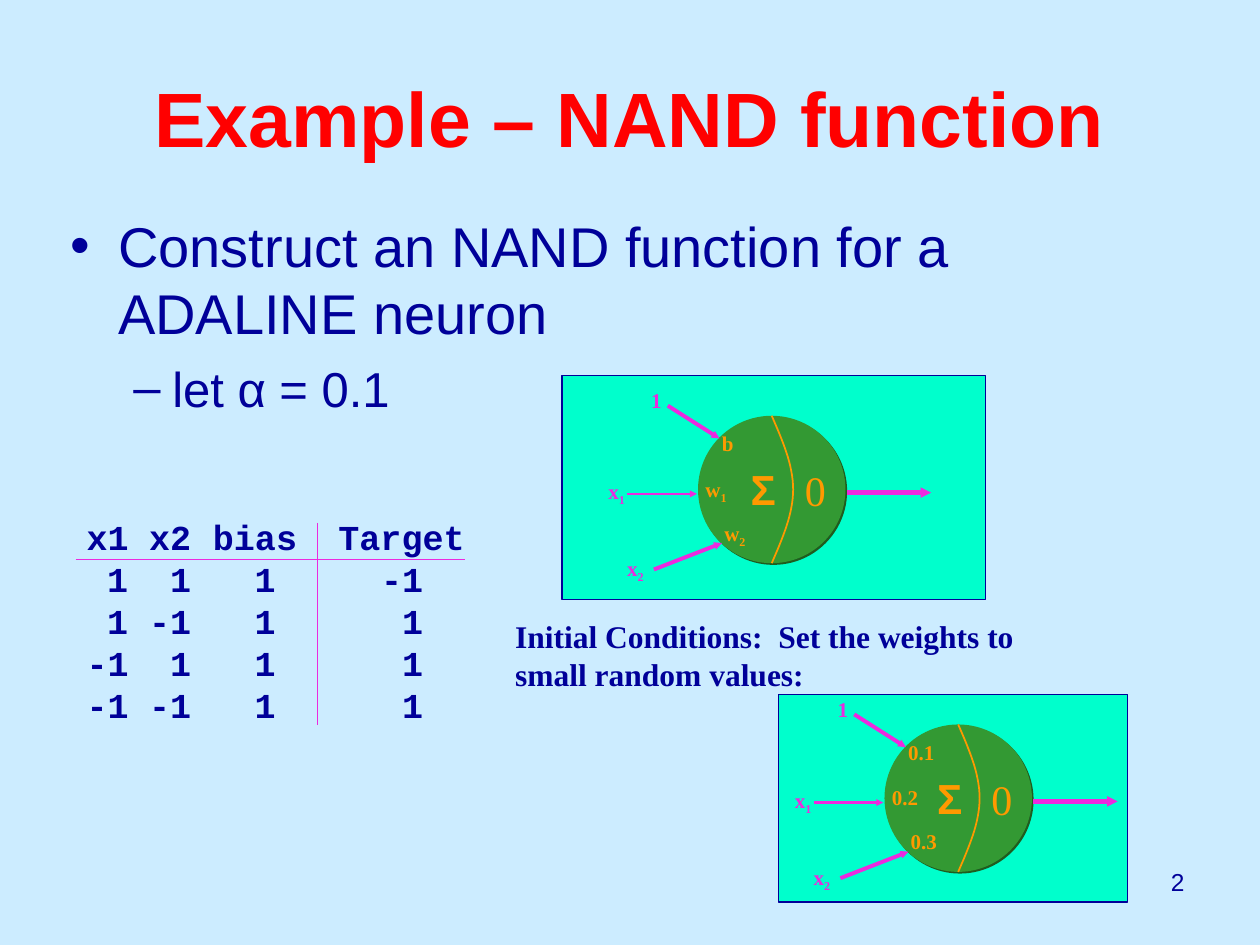
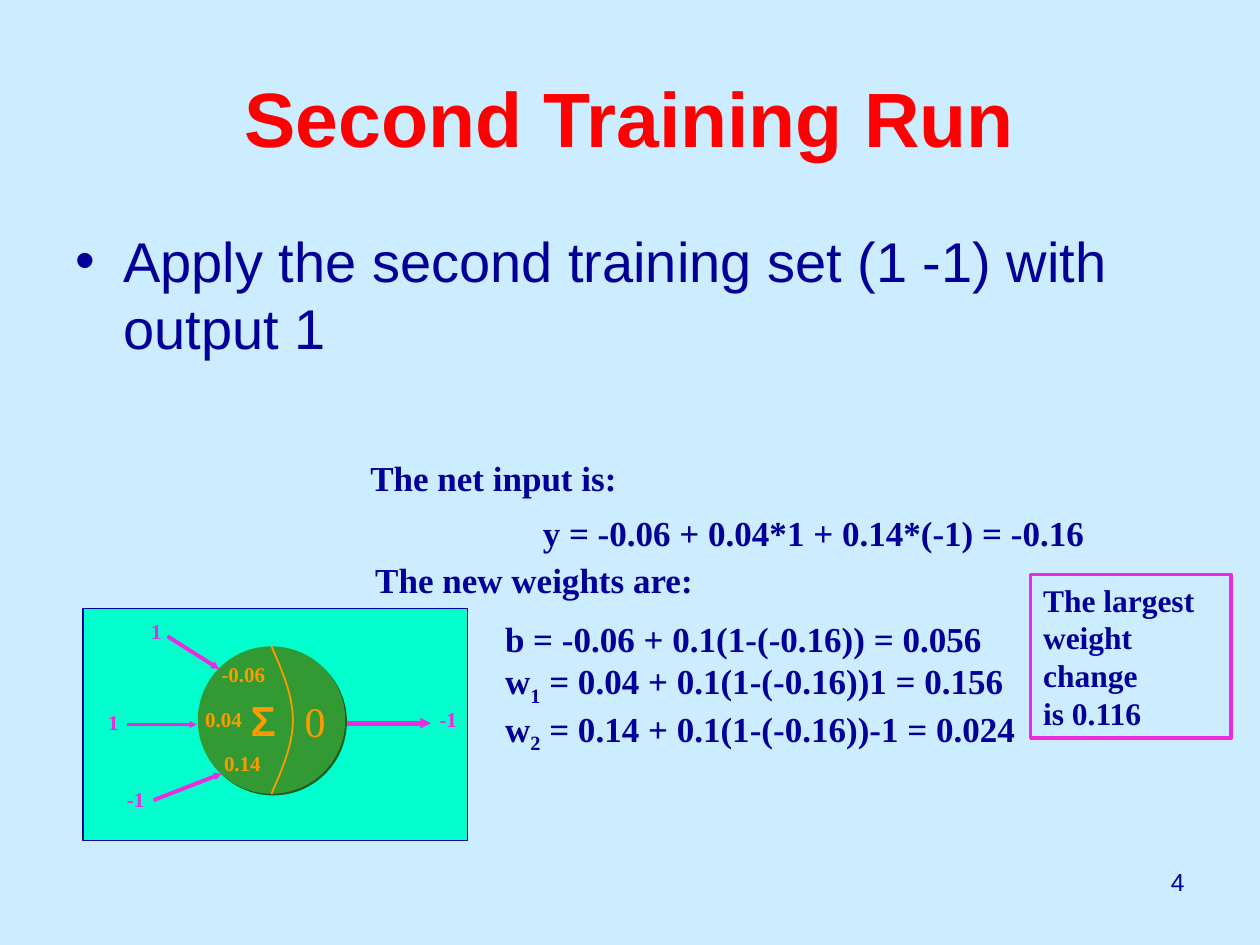
from lxml.etree import SubElement
from pptx import Presentation
from pptx.dml.color import RGBColor
from pptx.enum.shapes import MSO_CONNECTOR, MSO_SHAPE
from pptx.enum.text import MSO_ANCHOR, PP_ALIGN
from pptx.oxml.ns import qn
from pptx.util import Inches, Pt

SKY = RGBColor(0xCC, 0xEC, 0xFF)
NAVY = RGBColor(0x00, 0x00, 0x99)
RED = RGBColor(0xFF, 0x00, 0x00)
MAGENTA = RGBColor(0xEC, 0x2A, 0xDE)
ORANGE = RGBColor(0xFF, 0x99, 0x00)
GREEN = RGBColor(0x33, 0x99, 0x33)
DARK_GREEN = RGBColor(0x1F, 0x5C, 0x1F)
MINT = RGBColor(0x00, 0xFF, 0xCC)
SANS, SERIF, MONO = "Arial", "Times New Roman", "Courier New"

# In every text "_" lowers the character after it.
NAND = {
    "title": "Example – NAND function",
    "number": "2",
    "body": (0.46, 1.63, 9, 4.95),
    "bullets": [("Construct an NAND function for a ADALINE neuron", 0),
                ("let α = 0.1", 1)],
    "neurons": [
        {"panel": (4.46, 2.98, 3.36, 1.78), "at": (5.54, 3.3),
         "inputs": ["1", "x_1", "x_2"], "weights": ["b", "w_1", "w_2"]},
        {"panel": (6.18, 5.51, 2.77, 1.65), "at": (7.02, 5.75),
         "inputs": ["1", "x_1", "x_2"], "weights": ["0.1", "0.2", "0.3"]},
    ],
    "notes": [((3.99, 4.85, 4.61, 0.7), 18,
               ["Initial Conditions:  Set the weights to small random values:"])],
}
SECOND_RUN = {
    "title": "Second Training Run",
    "number": "4",
    "body": (0.5, 1.75, 9, 1.34),
    "bullets": [("Apply the second training set (1 -1) with output 1", 0)],
    "neurons": [
        {"panel": (0.66, 4.83, 3.05, 1.84), "at": (1.57, 5.13),
         "inputs": ["1", "1", "-1"], "weights": ["-0.06", "0.04", "0.14"],
         "output": "-1"},
    ],
    "notes": [
        ((2.84, 3.57, 2.25, 0.44), 20, ["The net input is:"]),
        ((4.21, 4.01, 4.6, 0.44), 20, ["y = -0.06 + 0.04*1 + 0.14*(-1) = -0.16"]),
        ((2.88, 4.38, 2.9, 0.44), 20, ["The new weights are:"]),
        ((3.91, 4.85, 4.35, 1.19), 20, ["b = -0.06 + 0.1(1-(-0.16)) = 0.056",
                                        "w_1 = 0.04 + 0.1(1-(-0.16))1 = 0.156",
                                        "w_2 = 0.14 + 0.1(1-(-0.16))-1 = 0.024"]),
    ],
}
LARGEST_CHANGE = ["The largest weight change", "is 0.116"]
TRUTH_TABLE = [("x1", "x2", "bias", "Target"),
               ("1", "1", "1", "-1"),
               ("1", "-1", "1", "1"),
               ("-1", "1", "1", "1"),
               ("-1", "-1", "1", "1")]
HEADER_TABS = [0.33, 0.83, 1.67, 3]
VALUE_TABS = [0.33, 0.83, 1.5, 2.67]

# Neuron parts, measured from the top left of its circle.
DIAMETER = 1.17
INPUT_SPOTS = [(-0.47, -0.27), (-0.81, 0.45), (-0.66, 1.06)]
WEIGHT_SPOTS = [(0.09, 0.07), (-0.04, 0.43), (0.11, 0.78)]
OUTPUT_SPOT = (1.82, 0.43)
ARROWS = [((1.18, 0.61), (1.85, 0.61), 3),
          ((-0.24, -0.08), (0.17, 0.18), 2.25),
          ((-0.35, 1.22), (0.19, 1.01), 2.25),
          ((-0.56, 0.62), (-0.01, 0.62), 1.5)]
# Label widths by number of characters, with room to stay on one line.
LABEL_WIDTHS = {1: 0.32, 2: 0.37, 3: 0.44, 4: 0.53, 5: 0.62}


def inches(values):
    return [Inches(v) for v in values]


def add_runs(p, text, size, font, color, bold):
    for i, piece in enumerate(text.split("_")):
        parts = [(piece[:1], True), (piece[1:], False)] if i else [(piece, False)]
        for part, lowered in parts:
            if part:
                r = p.add_run()
                r.text = part
                r.font.size, r.font.name, r.font.bold = Pt(size), font, bold
                r.font.color.rgb = color
                if lowered:
                    r.font._element.set("baseline", "-25000")


def fill_text(tf, lines, size, font=SERIF, color=NAVY, bold=True,
              align=PP_ALIGN.LEFT):
    tf.word_wrap = True
    tf.vertical_anchor = MSO_ANCHOR.TOP
    for i, line in enumerate(lines):
        p = tf.add_paragraph() if i else tf.paragraphs[0]
        p.alignment = align
        add_runs(p, line, size, font, color, bold)
    return tf


def add_text(shapes, box, lines, size, **style):
    return fill_text(shapes.add_textbox(*inches(box)).text_frame, lines, size, **style)


def add_block(shapes, kind, box, fill, line=None, width=0.75):
    sp = shapes.add_shape(kind, *inches(box))
    sp.shadow.inherit = False
    sp.fill.solid()
    sp.fill.fore_color.rgb = fill
    if line is None:
        sp.line.fill.background()
    else:
        sp.line.color.rgb = line
        sp.line.width = Pt(width)
    return sp


def add_line(shapes, start, end, width, head="none"):
    c = shapes.add_connector(MSO_CONNECTOR.STRAIGHT, *inches(start + end))
    c._element.remove(c._element.find(qn("p:style")))
    c.line.color.rgb = MAGENTA
    c.line.width = Pt(width)
    SubElement(c.line._get_or_add_ln(), qn("a:tailEnd"), type=head, w="sm", len="sm")
    SubElement(c._element.spPr, qn("a:effectLst"))


def add_bullets(s, box, bullets):
    tf = add_text(s.shapes, box, [], 32)
    for i, (text, level) in enumerate(bullets):
        p = tf.add_paragraph() if i else tf.paragraphs[0]
        size, mark, left, hang, before = [(32, "•", 0.38, 0.38, 8),
                                          (28, "–", 0.81, 0.31, 7)][level]
        p.level = level
        p.space_before = Pt(before)
        add_runs(p, text, size, SANS, NAVY, False)
        pPr = p._p.get_or_add_pPr()
        pPr.set("marL", str(Inches(left)))
        pPr.set("indent", str(-Inches(hang)))
        SubElement(SubElement(pPr, qn("a:buClr")), qn("a:srgbClr"), val=str(NAVY))
        SubElement(pPr, qn("a:buFont"), typeface=SANS)
        SubElement(pPr, qn("a:buChar"), char=mark)


def add_arc(shapes, x, y):
    """Draw the curve that parts the sum from the activation."""
    half, steps = DIAMETER / 2, 16
    points = []
    for i in range(2 * steps + 1):
        t = 1 - abs(i - steps) / steps
        bulge = 0.255 * t - 0.085 * t ** 3
        points.append(inches((x + half + bulge, y + half * i / steps)))
    fb = shapes.build_freeform(*points[0], scale=1.0)
    fb.add_line_segments(points[1:], close=False)
    arc = fb.convert_to_shape()
    arc.shadow.inherit = False
    arc.fill.background()
    arc.line.color.rgb = ORANGE
    arc.line.width = Pt(1)


def add_neuron(s, panel, at, inputs, weights, output=None):
    shapes = s.shapes.add_group_shape().shapes
    x, y = at
    add_block(shapes, MSO_SHAPE.RECTANGLE, panel, MINT, NAVY)
    body = add_block(shapes, MSO_SHAPE.OVAL, (x, y, DIAMETER, DIAMETER), GREEN)
    effects = body._element.spPr.find(qn("a:effectLst"))
    shadow = SubElement(effects, qn("a:outerShdw"), dist=str(Pt(1.4)),
                        dir="2700000", algn="ctr", rotWithShape="0")
    SubElement(shadow, qn("a:srgbClr"), val=str(DARK_GREEN))
    add_arc(shapes, x, y)
    add_text(shapes, (x + 0.75, y + 0.34, 0.4, 0.5), ["0"], 24,
             color=ORANGE, bold=False)
    add_text(shapes, (x + 0.32, y + 0.33, 0.43, 0.5), ["Σ"], 24,
             font=SANS, color=ORANGE)
    for (x1, y1), (x2, y2), width in ARROWS:
        add_line(shapes, (x + x1, y + y1), (x + x2, y + y2), width, "triangle")
    labels = [(t, spot, MAGENTA) for t, spot in zip(inputs, INPUT_SPOTS)]
    labels += [(t, spot, ORANGE) for t, spot in zip(weights, WEIGHT_SPOTS)]
    if output:
        labels.append((output, OUTPUT_SPOT, MAGENTA))
    for text, (dx, dy), color in labels:
        height = 0.33 if "_" in text else 0.3
        add_text(shapes, (x + dx, y + dy, LABEL_WIDTHS[len(text)], height),
                 [text], 12, color=color)


def add_truth_table(s):
    shapes = s.shapes.add_group_shape().shapes
    lines = ["\t" + "\t".join(row) for row in TRUTH_TABLE]
    tf = add_text(shapes, (0.59, 4.04, 3.3, 1.77), lines, 20, font=MONO)
    for i, p in enumerate(tf.paragraphs):
        tabs = SubElement(p._p.get_or_add_pPr(), qn("a:tabLst"))
        for pos in VALUE_TABS if i else HEADER_TABS:
            SubElement(tabs, qn("a:tab"), pos=str(Inches(pos)), algn="r")
    add_line(shapes, (0.6, 4.44), (3.69, 4.44), 1)
    add_line(shapes, (2.52, 4.15), (2.52, 5.75), 1)


def add_slide(prs, content):
    s = prs.slides.add_slide(prs.slide_layouts[6])
    s.background.fill.solid()
    s.background.fill.fore_color.rgb = SKY
    tf = add_text(s.shapes, (0.5, 0.3, 9, 1.25), [content["title"]], 44,
                  font=SANS, color=RED, align=PP_ALIGN.CENTER)
    tf.vertical_anchor = MSO_ANCHOR.MIDDLE
    add_bullets(s, content["body"], content["bullets"])
    for neuron in content["neurons"]:
        add_neuron(s, **neuron)
    for box, size, lines in content["notes"]:
        add_text(s.shapes, box, lines, size)
    add_text(s.shapes, (7.17, 6.83, 2.33, 0.52), [content["number"]], 14,
             font=SANS, bold=False, align=PP_ALIGN.RIGHT)
    return s


def main():
    prs = Presentation()
    prs.slide_width, prs.slide_height = Inches(10), Inches(7.5)
    add_truth_table(add_slide(prs, NAND))
    s = add_slide(prs, SECOND_RUN)
    box = add_block(s.shapes, MSO_SHAPE.RECTANGLE, (8.18, 4.56, 1.59, 1.3),
                    SKY, MAGENTA, 2)
    fill_text(box.text_frame, LARGEST_CHANGE, 18)
    prs.save("out.pptx")


if __name__ == "__main__":
    main()
